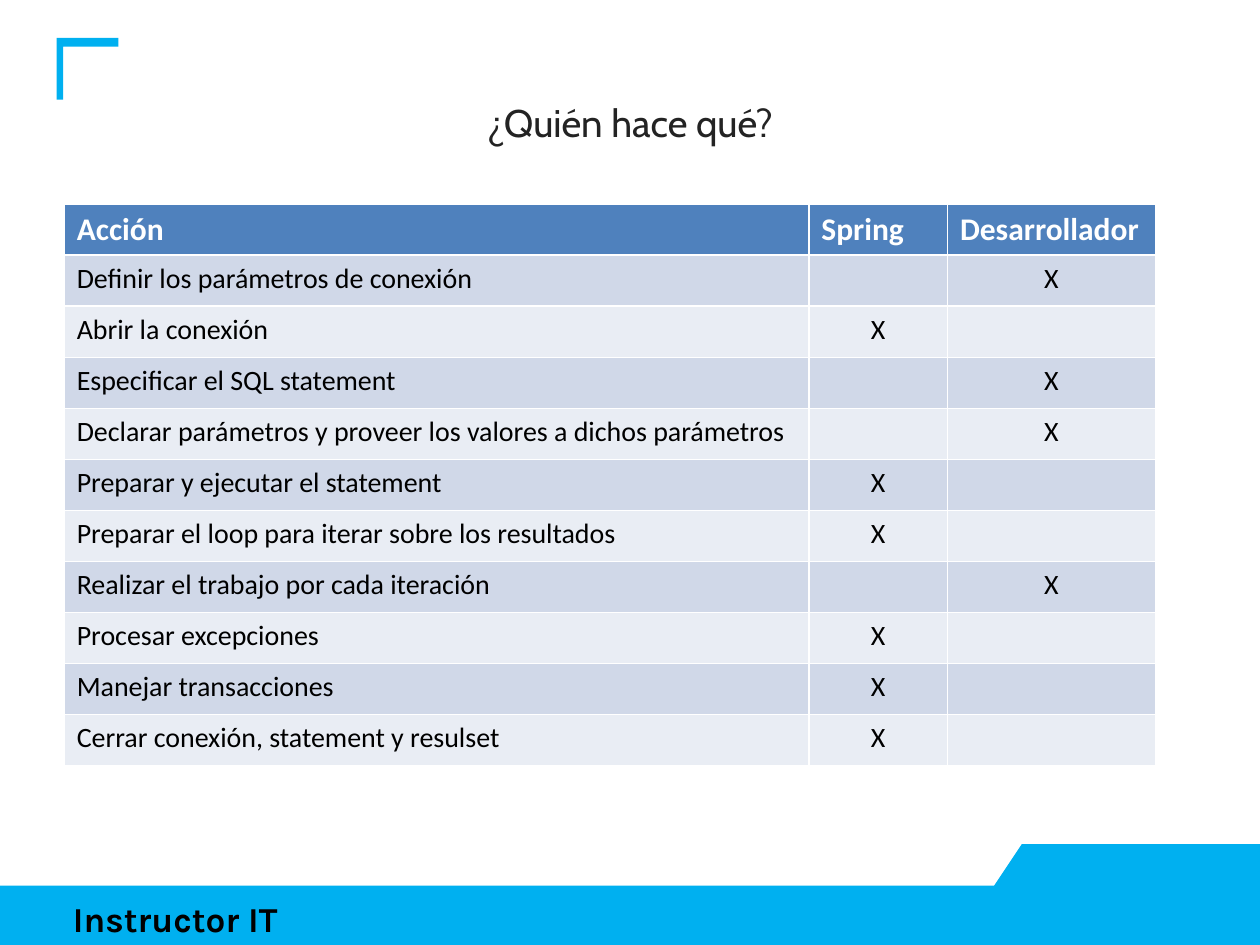
from dataclasses import dataclass

import pptx
import pptx.dml.color
import pptx.enum.text
import pptx.util

Inches = pptx.util.Inches
Pt = pptx.util.Pt
ALIGN = pptx.enum.text.PP_ALIGN
ANCHOR = pptx.enum.text.MSO_ANCHOR

SKY = "00B0F0"
BLACK = "000000"
HEADER_FILL = "4F81BD"
BAND_FILLS = ("D0D8E8", "E9EDF4")
MARGINS = {"margin_left": 0.1, "margin_top": 0.05, "margin_right": 0.1, "margin_bottom": 0.05}


@dataclass(frozen=True)
class TextFormat:
    size: int
    name: str
    color: str
    bold: bool = False


@dataclass(frozen=True)
class Action:
    label: str
    by_spring: bool


HEADERS = ("Acción", "Spring", "Desarrollador")
COLUMN_WIDTHS = (5.91, 1.1, 1.65)
TABLE_HEIGHT = 4.46
ACTIONS = (
    Action("Definir los parámetros de conexión", False),
    Action("Abrir la conexión", True),
    Action("Especificar el SQL statement", False),
    Action("Declarar parámetros y proveer los valores a dichos parámetros", False),
    Action("Preparar y ejecutar el statement", True),
    Action("Preparar el loop para iterar sobre los resultados", True),
    Action("Realizar el trabajo por cada iteración", False),
    Action("Procesar excepciones", True),
    Action("Manejar transacciones", True),
    Action("Cerrar conexión, statement y resulset", True),
)
HEADER_TEXT = TextFormat(18, "Calibri", "FFFFFF", True)
BODY_TEXT = TextFormat(16, "Calibri", BLACK)
TITLE_TEXT = TextFormat(22, "Cabin", "232323")
FOOTER_TEXT = TextFormat(20, "Karla", BLACK, True)

CORNER = ((0.45, 0.3), (0.94, 0.3), (0.94, 0.37), (0.5, 0.37), (0.5, 0.79), (0.45, 0.79))
FOOTER_BAND = ((0, 7.03), (7.89, 7.03), (8.11, 6.7), (10, 6.7), (10, 7.5), (0, 7.5))


def rgb(color: str) -> pptx.dml.color.RGBColor:
    return pptx.dml.color.RGBColor.from_string(color)


def write(frame, text: str, style: TextFormat, alignment=ALIGN.LEFT):
    """Put one formatted run in the frame and return its paragraph."""
    paragraph = frame.paragraphs[0]
    paragraph.alignment = alignment
    run = paragraph.add_run()
    run.text = text
    for attribute, value in {"size": Pt(style.size), "name": style.name, "bold": style.bold}.items():
        setattr(run.font, attribute, value)
    run.font.color.rgb = rgb(style.color)
    return paragraph


def set_margins(frame) -> None:
    for attribute, value in MARGINS.items():
        setattr(frame, attribute, Inches(value))


def draw_outline(slide, points: tuple) -> None:
    corners = [(Inches(x), Inches(y)) for x, y in points]
    builder = slide.shapes.build_freeform(*corners[0])
    builder.add_line_segments(corners[1:], close=True)
    shape = builder.convert_to_shape()
    shape.shadow.inherit = False
    shape.fill.solid()
    shape.fill.fore_color.rgb = rgb(SKY)
    shape.line.fill.background()


def draw_footer(slide) -> None:
    box = slide.shapes.add_textbox(Inches(0.48), Inches(7.07), Inches(7.65), Inches(0.43))
    box.text_frame.word_wrap = True
    set_margins(box.text_frame)
    write(box.text_frame, "Instructor IT", FOOTER_TEXT)


def draw_title(slide) -> None:
    title = slide.shapes.title
    position = {"left": 0.51, "top": 0.76, "width": 8.98, "height": 0.46}
    for attribute, value in position.items():
        setattr(title, attribute, Inches(value))
    frame = title.text_frame
    set_margins(frame)
    frame.auto_size = pptx.enum.text.MSO_AUTO_SIZE.NONE
    frame.vertical_anchor = ANCHOR.MIDDLE
    write(frame, "¿Quién hace qué?", TITLE_TEXT, ALIGN.CENTER).line_spacing = 0.9


def fill_row(table, index: int, texts: tuple, color: str, style: TextFormat, mark_alignment) -> None:
    """Fill one table row; the last two columns take mark_alignment."""
    for column, text in enumerate(texts):
        cell = table.cell(index, column)
        cell.fill.solid()
        cell.fill.fore_color.rgb = rgb(color)
        if text:
            write(cell.text_frame, text, style, mark_alignment if column else ALIGN.LEFT)


def draw_table(slide) -> None:
    row_count = len(ACTIONS) + 1
    table = slide.shapes.add_table(
        row_count, len(HEADERS), Inches(0.51), Inches(1.62),
        Inches(sum(COLUMN_WIDTHS)), Inches(TABLE_HEIGHT),
    ).table
    for column, width in zip(table.columns, COLUMN_WIDTHS):
        column.width = Inches(width)
    for row in table.rows:
        row.height = Inches(TABLE_HEIGHT / row_count)
    fill_row(table, 0, HEADERS, HEADER_FILL, HEADER_TEXT, ALIGN.LEFT)
    for index, action in enumerate(ACTIONS):
        marks = ("X", "") if action.by_spring else ("", "X")
        fill_row(table, index + 1, (action.label, *marks), BAND_FILLS[index % 2], BODY_TEXT, ALIGN.CENTER)


def main() -> None:
    presentation = pptx.Presentation()
    presentation.slide_width = Inches(10)
    presentation.slide_height = Inches(7.5)
    slide = presentation.slides.add_slide(presentation.slide_layouts[5])
    for points in (CORNER, FOOTER_BAND):
        draw_outline(slide, points)
    draw_footer(slide)
    draw_table(slide)
    draw_title(slide)
    presentation.save("out.pptx")


if __name__ == "__main__":
    main()
